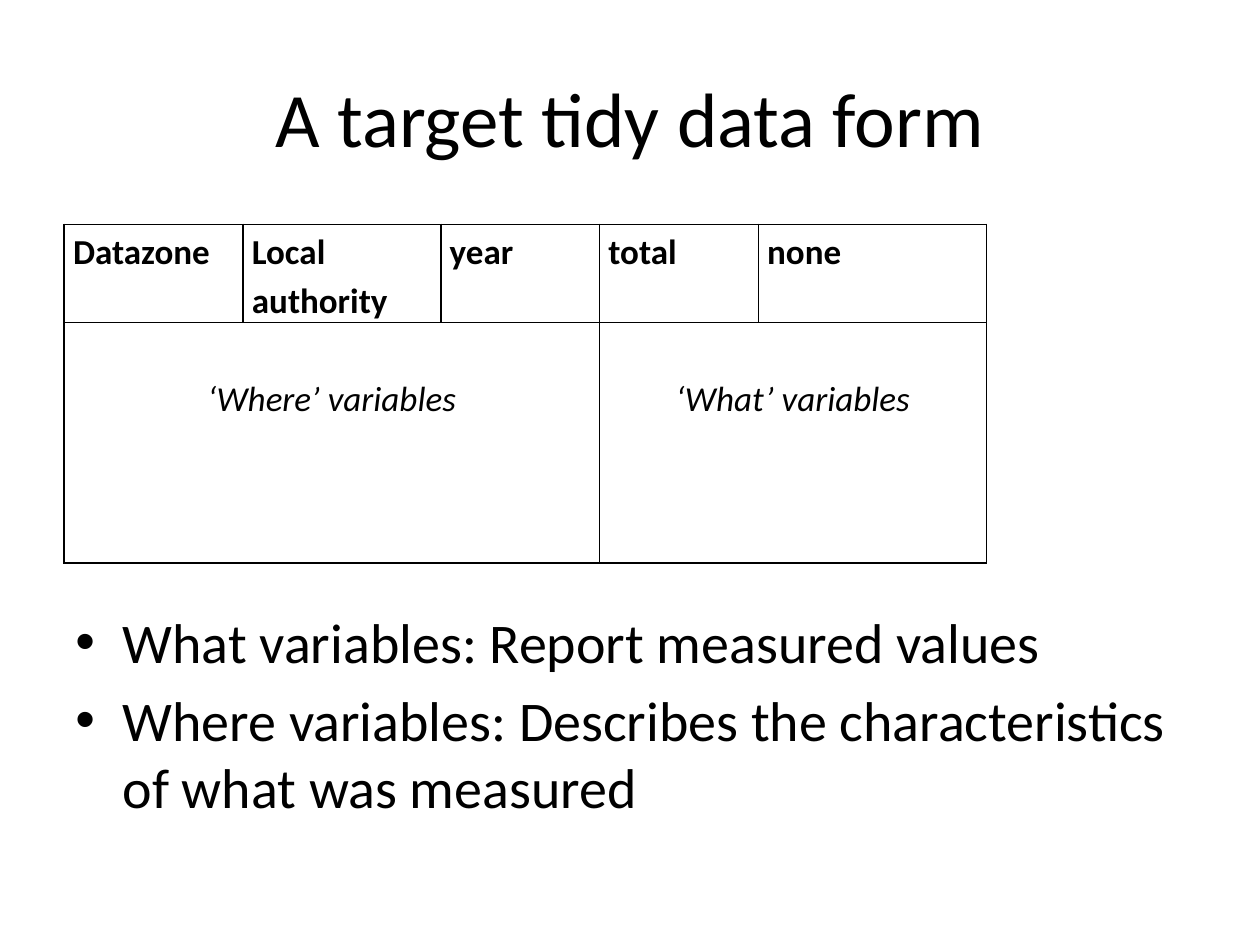
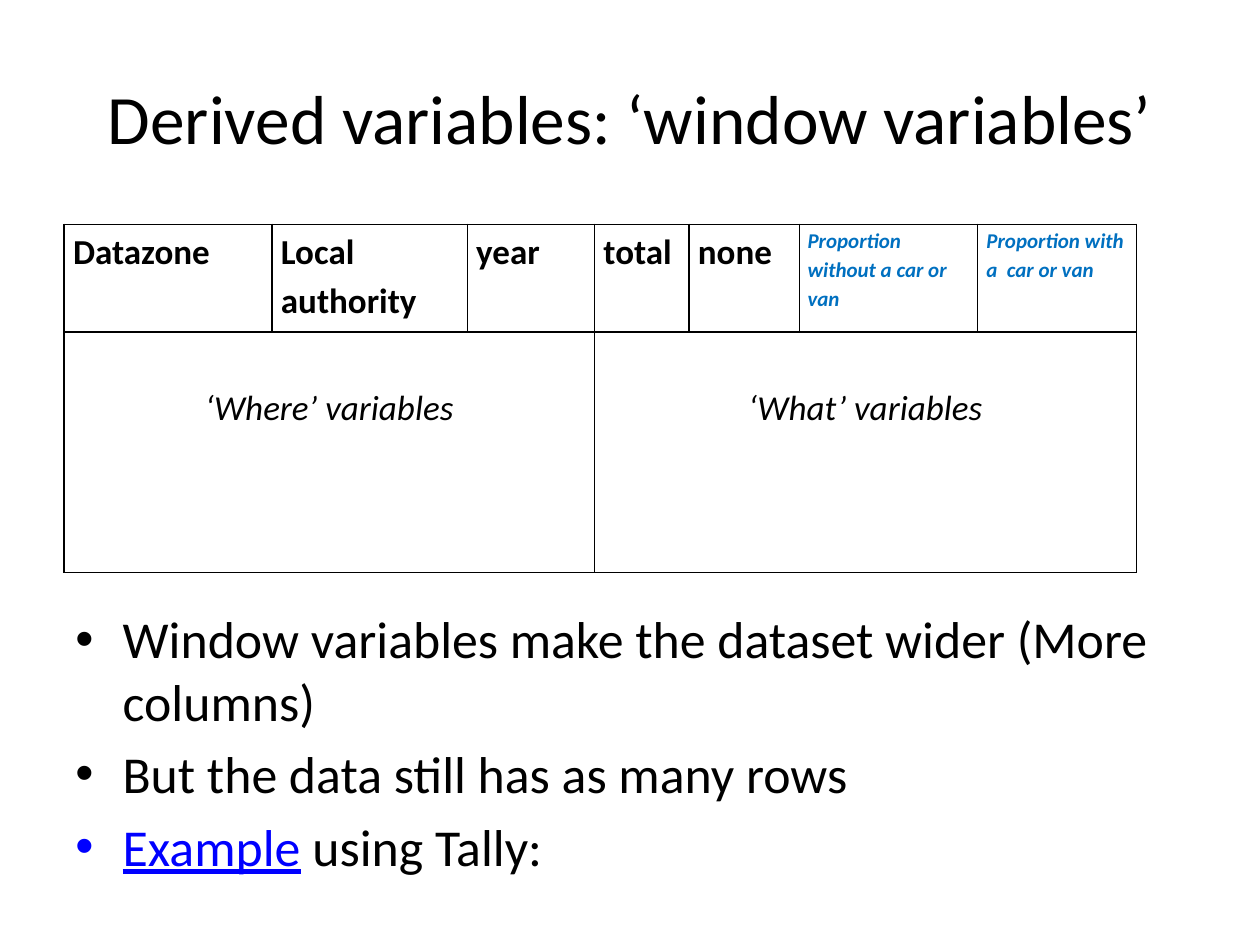
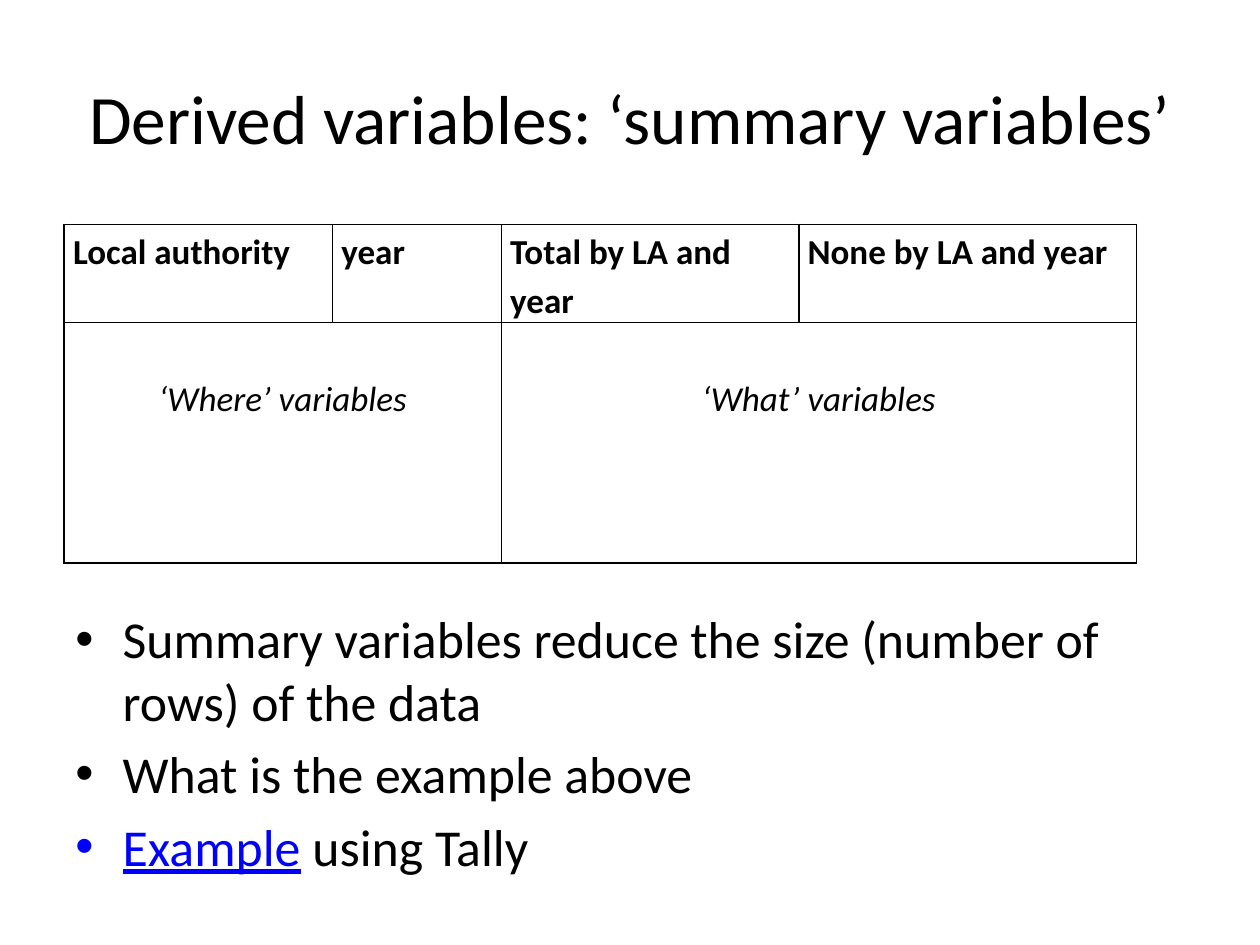
from lxml import etree
from pptx import Presentation
from pptx.dml.color import RGBColor
from pptx.enum.text import MSO_ANCHOR, PP_ALIGN
from pptx.oxml.ns import qn
from pptx.util import Inches, Pt

CENTER = PP_ALIGN.CENTER
MIDDLE = MSO_ANCHOR.MIDDLE

FONT = "Calibri"
BLACK = RGBColor(0x00, 0x00, 0x00)
LINK_BLUE = RGBColor(0x00, 0x00, 0xFF)
DERIVED_BLUE = RGBColor(0x00, 0x70, 0xC0)

presentation = Presentation()
presentation.slide_width = Inches(10)
presentation.slide_height = Inches(7.5)

# The page grid: 100 columns by 150 rows.
COLUMN = presentation.slide_width / 100
ROW = presentation.slide_height / 150
BULLET_INDENT = int(3.75 * COLUMN)
CELL_MARGIN = int(0.7 * COLUMN)
LABEL_DROP = int(7.8 * ROW)
LABEL_ROW = int(38.2 * ROW)
LABELS = ("‘Where’ variables", "‘What’ variables")

# Headings are (text, width in columns); those from first_derived on are derived.
# A bullet is a list of runs; the first of two runs looks like a link.
SLIDES = [
    {
        "title": "A target tidy data form", "title_size": 44, "body_size": 32,
        "headings": [("Datazone", 14.2), ("Local authority", 15.7), ("year", 12.6),
                     ("total", 12.6), ("none", 18.1)],
        "where_count": 3, "first_derived": 5, "heading_rows": 15.6,
        "bullets": [
            ["What variables: Report measured values"],
            ["Where variables: Describes the characteristics of what was measured"],
        ],
    },
    {
        "title": "Derived variables: ‘window variables’", "title_size": 39.6, "body_size": 29.6,
        "headings": [("Datazone", 16.5), ("Local authority", 15.5), ("year", 10.1),
                     ("total", 7.5), ("none", 8.7),
                     ("Proportion without a car or van", 14.2),
                     ("Proportion with a  car or van", 12.6)],
        "where_count": 3, "first_derived": 5, "heading_rows": 17.1,
        "bullets": [
            ["Window variables make the dataset wider (More columns)"],
            ["But the data still has as many rows"],
            ["Example", " using Tally:"],
        ],
    },
    {
        "title": "Derived variables: ‘summary variables’", "title_size": 39.6, "body_size": 29.6,
        "headings": [("Local authority", 21.3), ("year", 13.4),
                     ("Total by LA and year", 23.6), ("None by LA and year", 26.8)],
        "where_count": 2, "first_derived": 4, "heading_rows": 15.6,
        "bullets": [
            ["Summary variables reduce the size (number of rows) of the data"],
            ["What is the example above"],
            ["Example", " using Tally"],
        ],
    },
]


def style_run(run, size, color=BLACK, bold=False, italic=False, underline=False):
    """Set the font of one run."""
    font = run.font
    font.name = FONT
    font.size = Pt(size)
    font.color.rgb = color
    font.bold = bold
    font.italic = italic
    font.underline = underline


def add_border(cell, side, width):
    """Draw one black edge of a cell: L, R, T or B, with its width in points."""
    properties = cell._tc.get_or_add_tcPr()
    line = etree.SubElement(properties, qn(f"a:ln{side}"), w=str(int(Pt(width))))
    fill = etree.SubElement(line, qn("a:solidFill"))
    etree.SubElement(fill, qn("a:srgbClr"), val=str(BLACK))


for content in SLIDES:
    slide = presentation.slides.add_slide(presentation.slide_layouts[6])

    # Title
    title = slide.shapes.add_textbox(
        int(5 * COLUMN), int(6 * ROW), int(90 * COLUMN), int(25 * ROW))
    title.text_frame.word_wrap = True
    title.text_frame.vertical_anchor = MIDDLE
    title.text_frame.text = content["title"]
    paragraph = title.text_frame.paragraphs[0]
    paragraph.alignment = CENTER
    style_run(paragraph.runs[0], content["title_size"])

    # Bulleted text
    body = slide.shapes.add_textbox(
        int(5 * COLUMN), int(95.4 * ROW), int(90 * COLUMN), int(38.6 * ROW))
    body.text_frame.word_wrap = True
    for index, texts in enumerate(content["bullets"]):
        paragraph = body.text_frame.paragraphs[0] if index == 0 else body.text_frame.add_paragraph()
        paragraph.space_before = Pt(0.2 * content["body_size"])
        properties = paragraph._p.get_or_add_pPr()
        properties.set("marL", str(BULLET_INDENT))
        properties.set("indent", str(-BULLET_INDENT))
        etree.SubElement(properties, qn("a:buFont"), typeface="Arial")
        etree.SubElement(properties, qn("a:buChar"), char="•")
        for position, text in enumerate(texts):
            run = paragraph.add_run()
            run.text = text
            is_link = len(texts) == 2 and position == 0
            style_run(run, content["body_size"], LINK_BLUE if is_link else BLACK,
                      underline=is_link)

    # Table of variables
    headings = content["headings"]
    where_count = content["where_count"]
    first_derived = content["first_derived"]
    last = len(headings) - 1
    heading_height = int(content["heading_rows"] * ROW)
    table = slide.shapes.add_table(
        2, len(headings), int(5.1 * COLUMN), int(35.6 * ROW),
        int(sum(width for _, width in headings) * COLUMN), heading_height + LABEL_ROW).table
    table.first_row = False
    table.horz_banding = False
    table.rows[0].height = heading_height
    table.rows[1].height = LABEL_ROW

    for index, (heading, width) in enumerate(headings):
        table.columns[index].width = int(width * COLUMN)
        for row in range(2):
            cell = table.cell(row, index)
            cell.margin_left = cell.margin_right = CELL_MARGIN
            cell.margin_top = LABEL_DROP if row == 1 else 0
            cell.margin_bottom = 0
            thin_left = row == 0 and index >= first_derived
            thin_right = row == 0 and first_derived - 1 <= index < last
            add_border(cell, "L", 0.25 if thin_left else 1)
            add_border(cell, "R", 0.25 if thin_right else 1)
            add_border(cell, "T", 1)
            add_border(cell, "B", 1)
            cell.fill.background()
        heading_cell = table.cell(0, index)
        heading_cell.text_frame.text = heading
        paragraph = heading_cell.text_frame.paragraphs[0]
        paragraph.line_spacing = 1.15
        derived = index >= first_derived
        style_run(paragraph.runs[0], 12 if derived else 20,
                  DERIVED_BLUE if derived else BLACK, bold=True, italic=derived)

    spans = [(0, where_count - 1), (where_count, last)]
    for label, (start, end) in zip(LABELS, spans):
        label_cell = table.cell(1, start)
        label_cell.merge(table.cell(1, end))
        label_cell.text_frame.text = label
        paragraph = label_cell.text_frame.paragraphs[0]
        paragraph.alignment = CENTER
        paragraph.line_spacing = 1.15
        style_run(paragraph.runs[0], 20, italic=True)

presentation.save("out.pptx")
